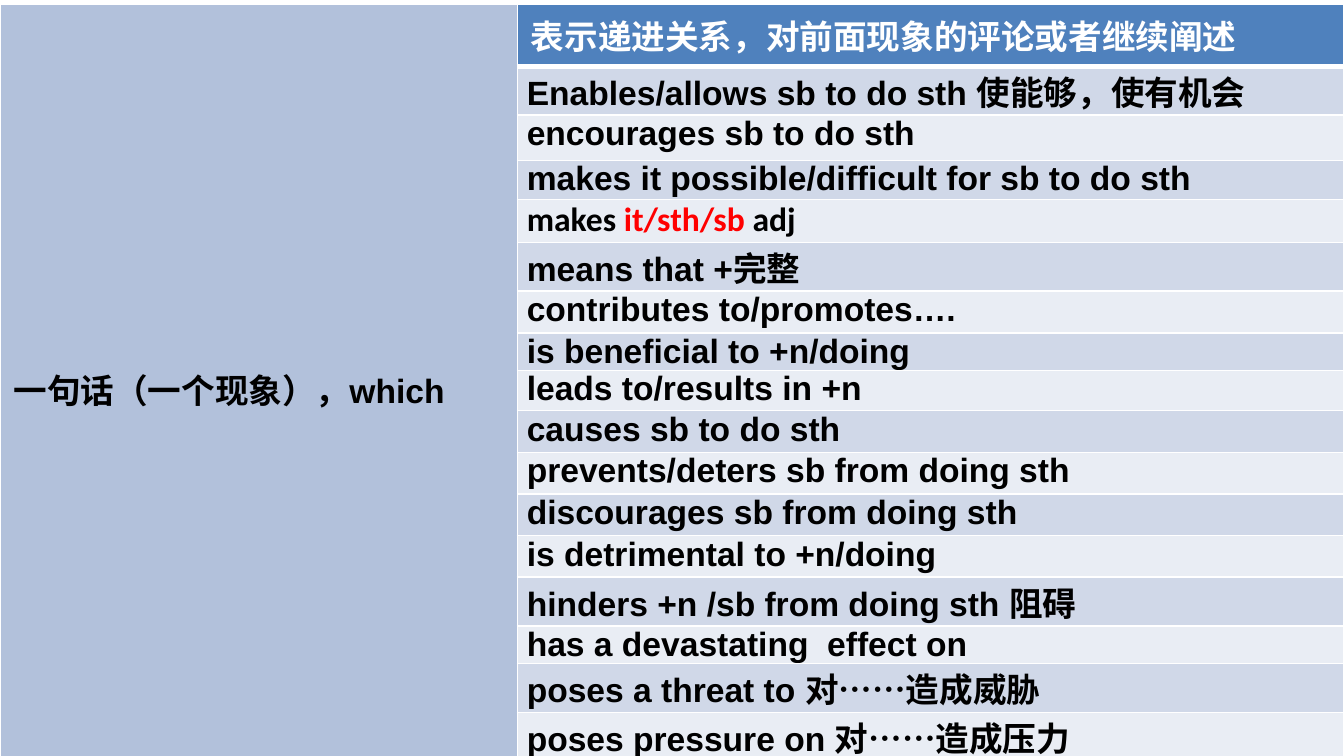
from lxml import etree
from pptx import Presentation
from pptx.dml.color import RGBColor
from pptx.enum.text import MSO_ANCHOR
from pptx.oxml.ns import qn
from pptx.util import Inches, Pt

TOP, MIDDLE = MSO_ANCHOR.TOP, MSO_ANCHOR.MIDDLE
COLORS = {
    "subject": "B2C1DB", "header": "4F81BD", "odd": "D0D8E8", "even": "E9EDF4",
    "white": "FFFFFF", "black": "000000", "accent": "FF0000",
}
SLIDE_WIDTH = Inches(10)
SLIDE_HEIGHT = SLIDE_WIDTH * 9 // 16
COLUMN_WIDTHS = [3.85, 6.15]
HEADER_HEIGHT = 0.46
SUBJECT = "一句话（一个现象），which"
HEADER = "表示递进关系，对前面现象的评论或者继续阐述"

# (row height, phrase); a phrase is a string or a list of (text, color)
PHRASES = [
    (0.30, "Enables/allows sb to do sth 使能够，使有机会"),
    (0.34, "encourages sb to do sth"),
    (0.29, "makes it possible/difficult for sb to do sth"),
    (0.32, [("makes ", "black"), ("it/sth/sb ", "accent"), ("adj", "black")]),
    (0.33, "means that +完整"),
    (0.31, "contributes to/promotes…."),
    (0.28, "is beneficial to +n/doing"),
    (0.30, "leads to/results in +n"),
    (0.31, "causes sb to do sth"),
    (0.31, "prevents/deters sb from doing sth"),
    (0.31, "discourages sb from doing sth"),
    (0.31, "is detrimental to +n/doing"),
    (0.23, "hinders +n /sb from doing sth 阻碍"),
    (0.17, "has a devastating  effect on"),
    (0.34, "poses a threat to 对……造成威胁"),
    (0.43, "poses pressure on 对……造成压力"),
]


def set_borders(cell, bottom=1):
    """Give the cell white borders, 1 pt except for the bottom one."""
    properties = cell._tc.get_or_add_tcPr()
    widths = [("a:lnL", 1), ("a:lnR", 1), ("a:lnT", 1), ("a:lnB", bottom)]
    for position, (tag, width) in enumerate(widths):
        line = etree.Element(qn(tag), w=str(Pt(width)))
        fill = etree.SubElement(line, qn("a:solidFill"))
        etree.SubElement(fill, qn("a:srgbClr"), val=COLORS["white"])
        properties.insert(position, line)


def write_cell(cell, text, *, fill, color="black", font="Arial", side=0.1,
               top=0.05, bottom=0.05, anchor=TOP):
    cell.fill.solid()
    cell.fill.fore_color.rgb = RGBColor.from_string(COLORS[fill])
    cell.margin_left = cell.margin_right = Inches(side)
    cell.margin_top, cell.margin_bottom = Inches(top), Inches(bottom)
    cell.vertical_anchor = anchor
    paragraph = cell.text_frame.paragraphs[0]
    pieces = [(text, color)] if isinstance(text, str) else text
    for words, piece_color in pieces:
        run = paragraph.add_run()
        run.text = words
        run.font.name = font
        run.font.size = Pt(18)
        run.font.bold = True
        run.font.color.rgb = RGBColor.from_string(COLORS[piece_color])


def main():
    presentation = Presentation()
    presentation.slide_width = SLIDE_WIDTH
    presentation.slide_height = SLIDE_HEIGHT
    slide = presentation.slides.add_slide(presentation.slide_layouts[6])

    heights = [HEADER_HEIGHT] + [height for height, _ in PHRASES]
    table = slide.shapes.add_table(
        len(heights), len(COLUMN_WIDTHS), Inches(0), Inches(0.03),
        Inches(sum(COLUMN_WIDTHS)), Inches(sum(heights))).table
    for column, width in zip(table.columns, COLUMN_WIDTHS):
        column.width = Inches(width)
    for row, height in zip(table.rows, heights):
        row.height = Inches(height)

    subject = table.cell(0, 0)
    subject.merge(table.cell(len(PHRASES), 0))
    write_cell(subject, SUBJECT, fill="subject", bottom=0.69, anchor=MIDDLE)
    set_borders(subject, bottom=3)

    header = table.cell(0, 1)
    write_cell(header, HEADER, fill="header", color="white")
    set_borders(header, bottom=3)

    for number, (_, phrase) in enumerate(PHRASES, start=1):
        cell = table.cell(number, 1)
        write_cell(cell, phrase, fill="odd" if number % 2 else "even",
                   font="Arial" if isinstance(phrase, str) else "Calibri",
                   side=0.07, top=0, bottom=0)
        set_borders(cell)

    presentation.save("out.pptx")


if __name__ == "__main__":
    main()
